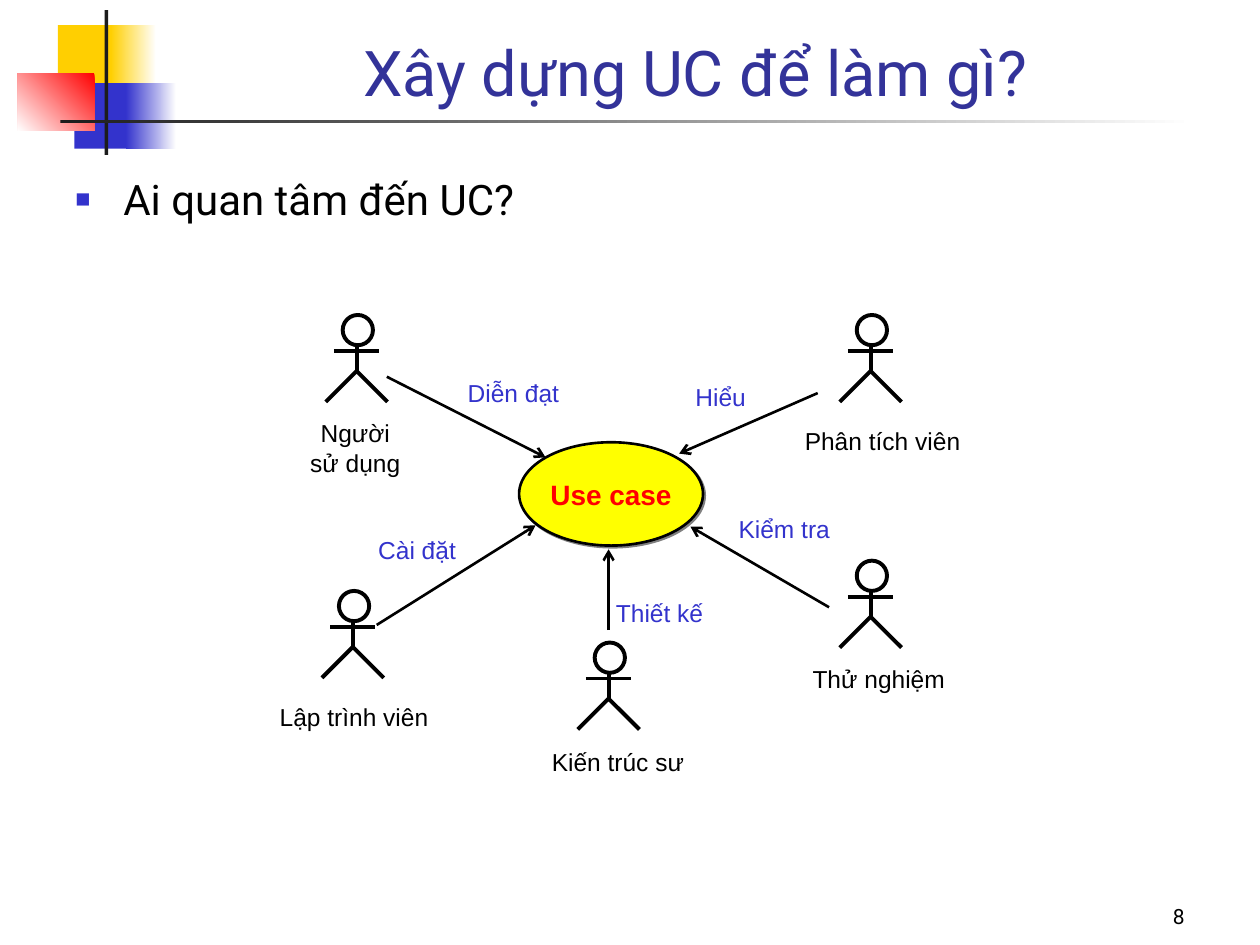
"""Build a slide showing who takes an interest in a use case."""
import pptx
import pptx.util
import pptx.dml.color
import pptx.enum.shapes
import pptx.enum.text
import pptx.oxml
import pptx.oxml.ns
from lxml import etree

COLORS = {
    "white": "FFFFFF", "black": "000000", "ink": "1C1C1C", "yellow": "FFCF01",
    "blue": "3333CC", "red": "FF0000", "title": "333399", "oval": "FFFF00", "shadow": "808080",
}
COLUMNS, ROWS = 100, 75
CELL = pptx.util.Inches(0.1)
SHAPES = pptx.enum.shapes.MSO_SHAPE
ALIGN = pptx.enum.text.PP_ALIGN
ANCHOR = pptx.enum.text.MSO_ANCHOR

TITLE = "Xây dựng UC để làm gì?"
QUESTION = "Ai quan tâm đến UC?"
CENTER = "Use case"
PAGE = "8"

DECORATIONS = [
    ((4.6, 2, 4.8, 5.2), "yellow", None),
    ((8.8, 2, 3.6, 5.2), "yellow", 0),
    ((5.9, 6.6, 4.6, 5.2), "blue", None),
    ((10, 6.6, 4, 5.2), "blue", 0),
    ((1.4, 5.8, 6.1, 4.6), "red", 225),
    ((8.3, 0.8, 0.3, 11.5), "ink", None),
    ((4.8, 9.5, 90, 0.3), "ink", 0),
]
ACTORS = [
    {"name": "Người sử dụng", "head": (27.2, 25), "label": (24.2, 33.2, 8, 4.7),
     "action": "Diễn đạt", "action_at": (37.1, 30, 7.3, 2.3), "arrow": (30.7, 29.9, 43.3, 36.3)},
    {"name": "Phân tích viên", "head": (68, 25), "label": (63.5, 33.8, 13.1, 2.3),
     "action": "Hiểu", "action_at": (55.2, 30.3, 4, 2.3), "arrow": (64.9, 31.2, 53.9, 36)},
    {"name": "Thử nghiệm", "head": (68, 44.5), "label": (64.5, 52.7, 10.5, 2.3),
     "action": "Kiểm tra", "action_at": (58.6, 40.8, 7.3, 2.3), "arrow": (65.8, 48.2, 54.8, 41.8)},
    {"name": "Kiến trúc sư", "head": (47.2, 51), "label": (43.8, 59.3, 10.5, 2.3),
     "action": "Thiết kế", "action_at": (48.9, 47.5, 6.9, 2.3), "arrow": (48.3, 50, 48.3, 43.6)},
    {"name": "Lập trình viên", "head": (26.9, 46.9), "label": (22.2, 55.7, 11.8, 2.3),
     "action": "Cài đặt", "action_at": (30, 42.5, 6.2, 2.3), "arrow": (29.9, 49.6, 42.5, 41.7)},
]


def cells(*values):
    return [round(value * CELL) for value in values]


def rgb(name):
    return pptx.dml.color.RGBColor.from_string(COLORS[name])


def write(shape, text, size=14, color="black", font="Arial", bold=False, align=ALIGN.CENTER,
          anchor=ANCHOR.TOP, margins=(0, 0), wrap=True, bullet=False):
    frame = shape.text_frame
    frame.auto_size = pptx.enum.text.MSO_AUTO_SIZE.NONE
    frame.word_wrap = wrap
    frame.vertical_anchor = anchor
    frame.margin_left = frame.margin_right = pptx.util.Inches(margins[0])
    frame.margin_top = frame.margin_bottom = pptx.util.Inches(margins[1])
    frame.text = text
    paragraph = frame.paragraphs[0]
    paragraph.alignment = align
    if bullet:
        add_bullet(paragraph)
    paragraph.font.size = pptx.util.Pt(size)
    paragraph.font.name = font
    paragraph.font.bold = bold
    paragraph.font.color.rgb = rgb(color)


def add_bullet(paragraph):
    properties = paragraph._p.get_or_add_pPr()
    indent = pptx.util.Inches(0.38)
    properties.set("marL", str(indent))
    properties.set("indent", str(-indent))
    namespace = pptx.oxml.ns.nsdecls("a")
    for xml in (f'<a:buClr {namespace}><a:srgbClr val="{COLORS["blue"]}"/></a:buClr>',
                f'<a:buSzPct {namespace} val="60000"/>',
                f'<a:buFont {namespace} typeface="Arial"/>',
                f'<a:buChar {namespace} char="■"/>'):
        properties.append(pptx.oxml.parse_xml(xml))


def add_text(shapes, place, text, **style):
    write(shapes.add_textbox(*cells(*place)), text, **style)


def outline(shape, width):
    shape.line.color.rgb = rgb("black")
    shape.line.width = pptx.util.Pt(width)


def add_line(shapes, points, width, arrow=False):
    line = shapes.add_connector(pptx.enum.shapes.MSO_CONNECTOR.STRAIGHT, *cells(*points))
    outline(line, width)
    if arrow:
        etree.SubElement(line.line._get_or_add_ln(), pptx.oxml.ns.qn("a:tailEnd"), type="arrow")
    etree.SubElement(line._element.spPr, pptx.oxml.ns.qn("a:effectLst"))


def add_decoration(shapes, place, color, angle):
    block = shapes.add_shape(SHAPES.RECTANGLE, *cells(*place))
    block.shadow.inherit = False
    block.line.fill.background()
    if angle is None:
        block.fill.solid()
        block.fill.fore_color.rgb = rgb(color)
    else:
        block.fill.gradient()
        block.fill.gradient_angle = angle
        for stop, name, position in zip(block.fill.gradient_stops, (color, "white"), (0, 1)):
            stop.color.rgb = rgb(name)
            stop.position = position


def add_figure(shapes, left, top):
    figure = shapes.add_group_shape().shapes
    middle, hip, foot = left + 1.1, top + 4.45, top + 6.9
    head = figure.add_shape(SHAPES.OVAL, *cells(left, top, 2.4, 2.4))
    add_line(figure, (middle, top + 2.3, middle, hip), 2.25)
    add_line(figure, (left - 0.7, top + 2.85, left + 2.9, top + 2.85), 2.25)
    builder = figure.build_freeform(*cells(middle - 2.45, foot))
    builder.add_line_segments([cells(middle, hip), cells(middle + 2.45, foot)], close=False)
    for shape in (head, builder.convert_to_shape()):
        shape.shadow.inherit = False
        shape.fill.background()
        outline(shape, 2.25)


def add_use_case(shapes):
    oval = shapes.add_shape(SHAPES.OVAL, *cells(41.2, 35.1, 14.6, 8.2))
    oval.fill.solid()
    oval.fill.fore_color.rgb = rgb("oval")
    outline(oval, 1.5)
    oval.shadow.inherit = False
    effects = oval._element.spPr.find(pptx.oxml.ns.qn("a:effectLst"))
    shadow = etree.SubElement(effects, pptx.oxml.ns.qn("a:outerShdw"), blurRad="0",
                              dist=str(pptx.util.Pt(1.4)), dir="2700000", algn="ctr", rotWithShape="0")
    etree.SubElement(shadow, pptx.oxml.ns.qn("a:srgbClr"), val=COLORS["shadow"])
    write(oval, CENTER, size=16, color="red", bold=True, anchor=ANCHOR.MIDDLE, wrap=False)


def main():
    presentation = pptx.Presentation()
    presentation.slide_width, presentation.slide_height = cells(COLUMNS, ROWS)
    slide = presentation.slides.add_slide(presentation.slide_layouts[5])
    shapes = slide.shapes
    for decoration in DECORATIONS:
        add_decoration(shapes, *decoration)
    title = shapes.title
    title.left, title.top, title.width, title.height = cells(12.6, 0.8, 85.2, 8.4)
    block_style = {"font": "Roboto", "margins": (0.1, 0.05)}
    write(title, TITLE, size=36, color="title", anchor=ANCHOR.BOTTOM, **block_style)
    add_text(shapes, (5, 13.3, 92.9, 55), QUESTION, size=24, align=ALIGN.LEFT, bullet=True, **block_style)
    for actor in ACTORS:
        add_figure(shapes, *actor["head"])
        add_text(shapes, actor["label"], actor["name"], wrap=actor["label"][3] > 3)
    add_use_case(shapes)
    for actor in ACTORS:
        add_text(shapes, actor["action_at"], actor["action"], color="blue", wrap=False)
        add_line(shapes, actor["arrow"], 1.5, arrow=True)
    add_text(shapes, (74.2, 69.2, 20.8, 5), PAGE, size=12, align=ALIGN.RIGHT, anchor=ANCHOR.BOTTOM, **block_style)
    presentation.save("out.pptx")


if __name__ == "__main__":
    main()
